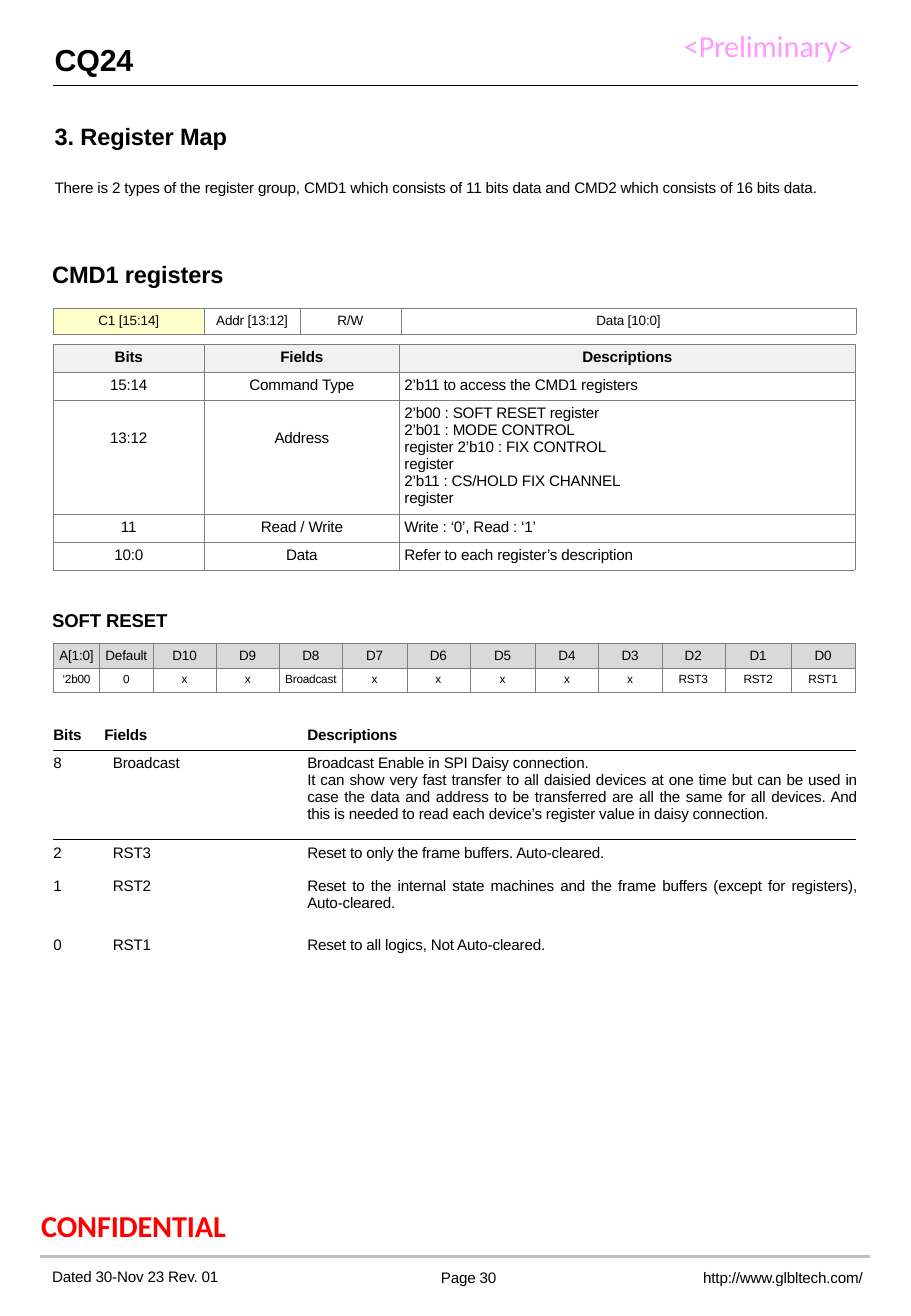
from lxml import etree
from pptx import Presentation
from pptx.dml.color import RGBColor
from pptx.enum.shapes import MSO_CONNECTOR
from pptx.enum.text import MSO_ANCHOR, MSO_AUTO_SIZE, PP_ALIGN
from pptx.oxml.ns import qn
from pptx.util import Inches, Pt

LEFT, CENTER, JUSTIFY = PP_ALIGN.LEFT, PP_ALIGN.CENTER, PP_ALIGN.JUSTIFY
TOP, MIDDLE = MSO_ANCHOR.TOP, MSO_ANCHOR.MIDDLE
STRAIGHT = MSO_CONNECTOR.STRAIGHT
NO_AUTOFIT = MSO_AUTO_SIZE.NONE
PLAIN_TABLE = "{2D5ABB26-0587-4C30-8999-92F81FD0307C}"

COLORS = {
    "text": "000000", "grid": "7E7E7E", "rule": "BFBFBF", "alert": "FF0000",
    "draft": "FF99FF", "command": "FFFFCC", "head": "F1F1F1", "bits": "D9D9D9",
}


def color(name):
    return RGBColor.from_string(COLORS[name])


class DatasheetPage:
    """Holds the text style and the page being drawn."""

    style = {"name": "Arial", "size": 9, "bold": False, "color": "text"}

    def __init__(self, deck):
        self.page = deck.slides.add_slide(deck.slide_layouts[5])

    def fill_text(self, frame, text, align=LEFT, **changes):
        values = {**self.style, **changes}
        for number, line in enumerate(text.split("\n")):
            para = frame.add_paragraph() if number else frame.paragraphs[0]
            para.alignment = align
            span = para.add_run()
            span.text = line
            font_values = {"name": values["name"], "size": Pt(values["size"]),
                           "bold": values["bold"]}
            for key, value in font_values.items():
                setattr(span.font, key, value)
            span.font.color.rgb = color(values["color"])
            span.font._element.set("spc", "-10")

    def set_frame(self, frame, margins, anchor):
        left, top, right, bottom = (Inches(margin) for margin in margins)
        values = {"margin_left": left, "margin_top": top, "margin_right": right,
                  "margin_bottom": bottom, "vertical_anchor": anchor,
                  "word_wrap": True, "auto_size": NO_AUTOFIT}
        for key, value in values.items():
            setattr(frame, key, value)

    def title(self, place, text, **changes):
        box = self.page.shapes.title
        box.left, box.top, box.width, box.height = map(Inches, place)
        self.set_frame(box.text_frame, (0.01, 0.01, 0, 0), TOP)
        self.fill_text(box.text_frame, text, **changes)

    def text(self, place, text, margins=(0.01, 0.01, 0, 0), anchor=TOP, **changes):
        box = self.page.shapes.add_textbox(*map(Inches, place))
        self.set_frame(box.text_frame, margins, anchor)
        self.fill_text(box.text_frame, text, **changes)

    def rule(self, left, right, y, name, width):
        line = self.page.shapes.add_connector(
            STRAIGHT, Inches(left), Inches(y), Inches(right), Inches(y))
        line.line.color.rgb = color(name)
        line.line.width = Pt(width)
        etree.SubElement(line._element.spPr, qn("a:effectLst"))

    def table(self, left, top, columns, heights, rows, cell_format):
        """cell_format(row, column) gives the format values of one cell."""
        frame = self.page.shapes.add_table(
            len(heights), len(columns), Inches(left), Inches(top),
            Inches(sum(columns)), Inches(sum(heights)))
        table = frame.table
        table.first_row = table.horz_banding = False
        table._tbl.tblPr.find(qn("a:tableStyleId")).text = PLAIN_TABLE
        for column, width in zip(table.columns, columns):
            column.width = Inches(width)
        for row, height in zip(table.rows, heights):
            row.height = Inches(height)
        for r, texts in enumerate(rows):
            for c, text in enumerate(texts):
                self.fill_cell(table.cell(r, c), text, **cell_format(r, c))

    def fill_cell(self, cell, text, margins=(0, 0.04, 0, 0), anchor=TOP,
                  fill=None, sides="LRTB", border="grid", **changes):
        left, top, right, bottom = (Inches(margin) for margin in margins)
        values = {"margin_left": left, "margin_top": top, "margin_right": right,
                  "margin_bottom": bottom, "vertical_anchor": anchor}
        for key, value in values.items():
            setattr(cell, key, value)
        if fill:
            cell.fill.solid()
            cell.fill.fore_color.rgb = color(fill)
        else:
            cell.fill.background()
        properties = cell._tc.get_or_add_tcPr()
        for position, side in enumerate(sides):
            line = etree.Element(qn("a:ln" + side), w=str(Pt(0.25)))
            solid = etree.SubElement(line, qn("a:solidFill"))
            etree.SubElement(solid, qn("a:srgbClr"), val=COLORS[border])
            properties.insert(position, line)
        self.fill_text(cell.text_frame, text, **changes)


def command_cell(row, column):
    return {"size": 8, "align": CENTER, "fill": None if column else "command"}


def field_cell(row, column):
    if row == 0:
        return {"bold": True, "align": CENTER, "fill": "head"}
    if column == 2:
        # The address list keeps to a narrow measure
        return {"margins": (0.04, 0.04, 1.89 if row == 2 else 0, 0)}
    return {"align": CENTER, "margins": (0, 0.25 if row == 2 else 0.04, 0, 0)}


def reset_cell(row, column):
    return {"align": CENTER, "size": 7 if row else 8, "fill": None if row else "bits"}


def description_cell(row, column):
    values = {"sides": {0: "B", 1: "T"}.get(row, ""), "border": "text"}
    if row == 0:
        return {**values, "bold": True, "anchor": MIDDLE}
    return {**values, "align": JUSTIFY if column == 2 else LEFT,
            "margins": (0.07 if column == 1 else 0, 0.04, 0, 0)}


def main():
    deck = Presentation()
    deck.slide_width, deck.slide_height = Inches(7.5), Inches(10.83)
    sheet = DatasheetPage(deck)

    # Header
    sheet.rule(0.44, 7.06, 0.7, "text", 0.5)
    sheet.text((0.44, 0.33, 1, 0.33), "CQ24", size=18, bold=True)
    sheet.text((5.63, 0.22, 1.58, 0.3), "<Preliminary>", margins=(0, 0, 0, 0),
               name="Calibri", size=18, color="draft")

    # Introduction
    sheet.title((0.44, 0.99, 6.61, 0.25), "3. Register Map", size=14, bold=True)
    sheet.text((0.44, 1.46, 6.61, 0.17),
               "There is 2 types of the register group, CMD1 which consists of 11 bits "
               "data and CMD2 which consists of 16 bits data.", align=JUSTIFY)

    # CMD1 registers
    sheet.text((0.42, 2.13, 2, 0.26), "CMD1 registers", size=14, bold=True)
    sheet.table(0.44, 2.54, [1.24, 0.79, 0.83, 3.75], [0.21],
                [["C1 [15:14]", "Addr [13:12]", "R/W", "Data [10:0]"]], command_cell)
    fields = [
        ["Bits", "Fields", "Descriptions"],
        ["15:14", "Command Type", "2’b11 to access the CMD1 registers"],
        ["13:12", "Address",
         "2’b00 : SOFT RESET register 2’b01 : MODE CONTROL register "
         "2’b10 : FIX CONTROL register\n2’b11 : CS/HOLD FIX CHANNEL register"],
        ["11", "Read / Write", "Write : ‘0’, Read : ‘1’"],
        ["10:0", "Data", "Refer to each register’s description"],
    ]
    sheet.table(0.44, 2.83, [1.24, 1.61, 3.75], [0.23, 0.23, 0.94, 0.23, 0.23],
                fields, field_cell)

    # SOFT RESET
    sheet.text((0.42, 5, 1.5, 0.21), "SOFT RESET", size=11, bold=True)
    data_bits = [f"D{bit}" for bit in range(10, -1, -1)]
    reset_names = {"D8": "Broadcast", "D2": "RST3", "D1": "RST2", "D0": "RST1"}
    reset_rows = [["A[1:0]", "Default"] + data_bits,
                  ["‘2b00", "0"] + [reset_names.get(bit, "x") for bit in data_bits]]
    sheet.table(0.44, 5.29, [0.38, 0.44, 0.52, 0.52, 0.52, 0.53, 0.52, 0.54,
                             0.52, 0.52, 0.52, 0.55, 0.52],
                [0.21, 0.2], reset_rows, reset_cell)
    descriptions = [
        ["Bits", "Fields", "Descriptions"],
        ["8", "Broadcast",
         "Broadcast Enable in SPI Daisy connection.\n"
         "It can show very fast transfer to all daisied devices at one time but can be "
         "used in case the data and address to be transferred are all the same for all "
         "devices. And this is needed to read each device’s register value in daisy "
         "connection."],
        ["2", "RST3", "Reset to only the frame buffers. Auto-cleared."],
        ["1", "RST2", "Reset to the internal state machines and the frame buffers "
                      "(except for registers), Auto-cleared."],
        ["0", "RST1", "Reset to all logics, Not Auto-cleared."],
    ]
    sheet.table(0.44, 5.89, [0.42, 1.67, 4.52], [0.28, 0.74, 0.27, 0.49, 0.27],
                descriptions, description_cell)

    # Footer
    sheet.text((0.33, 9.92, 2.27, 0.32), "CONFIDENTIAL", name="Calibri", size=18,
               bold=True, color="alert")
    sheet.rule(0.33, 7.16, 10.34, "rule", 2.04)
    inset = (0.1, 0.05, 0.1, 0.05)
    sheet.text((5.63, 10.34, 1.63, 0.34), "http://www.glbltech.com/", inset, MIDDLE,
               align=CENTER)
    sheet.text((3.62, 10.44, 0.53, 0.15), "Page 30", margins=(0.01, 0, 0, 0))
    sheet.text((0.33, 10.41, 2.25, 0.19), "Dated 30-Nov 23 Rev. 01", inset, MIDDLE)

    deck.save("out.pptx")


if __name__ == "__main__":
    main()
